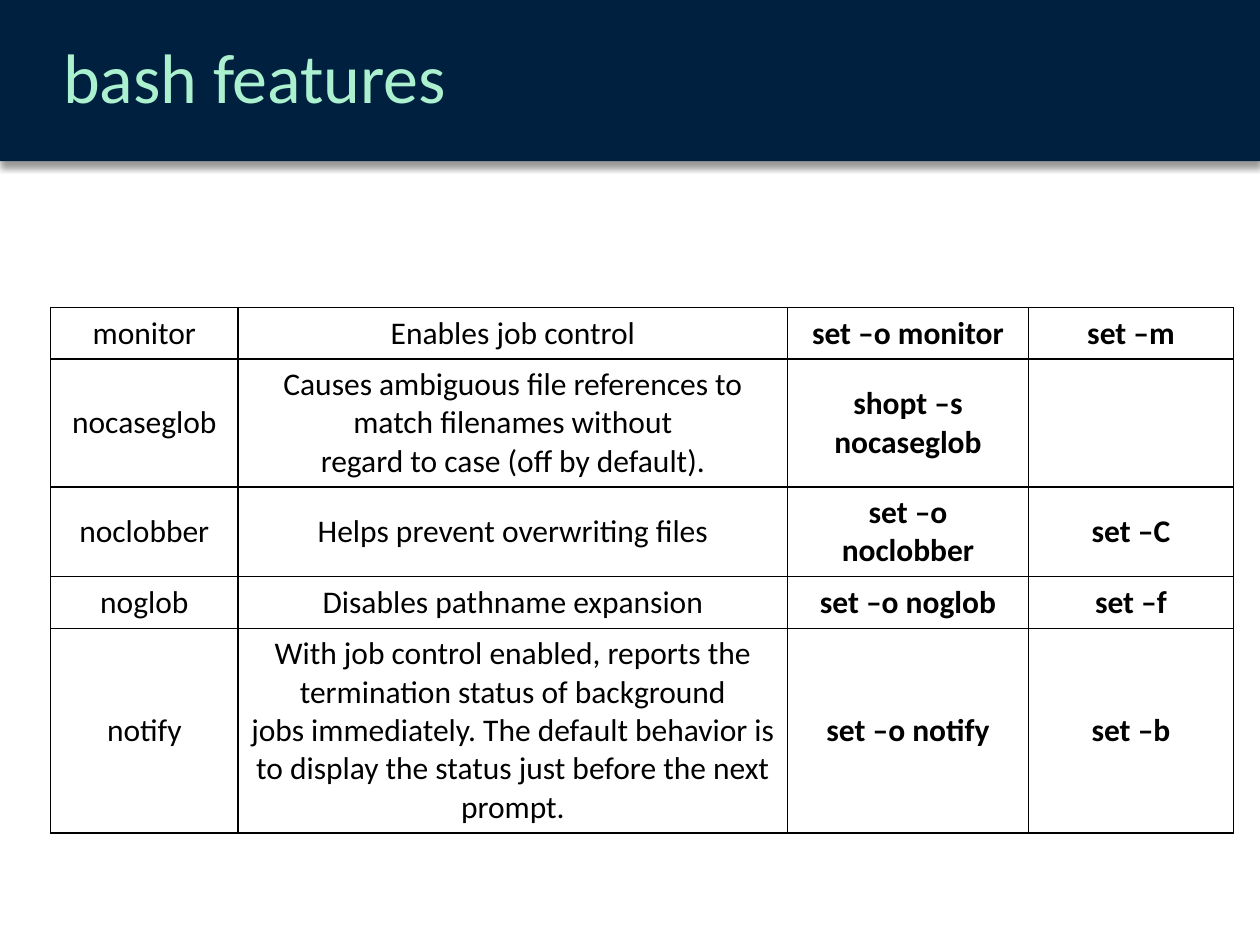
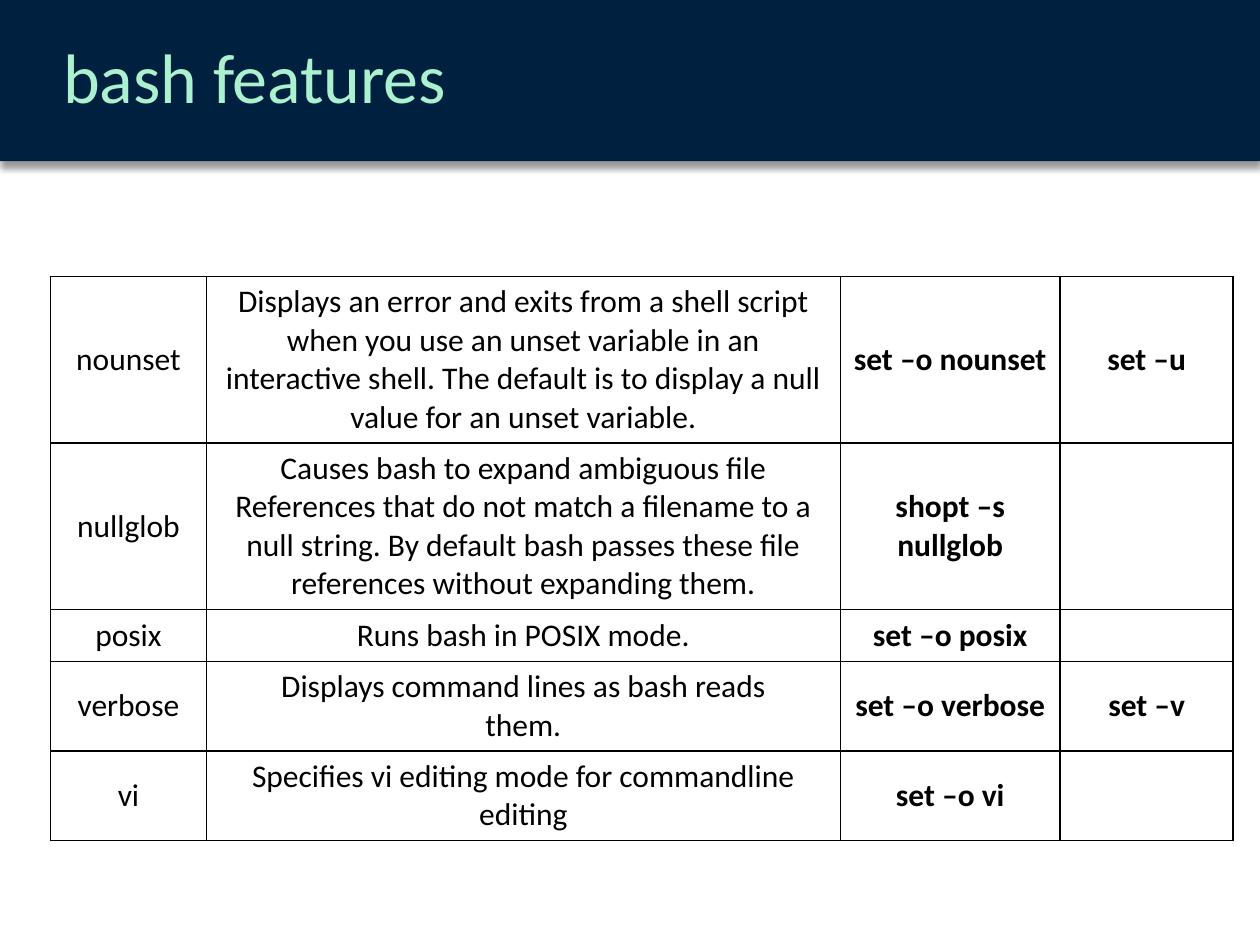
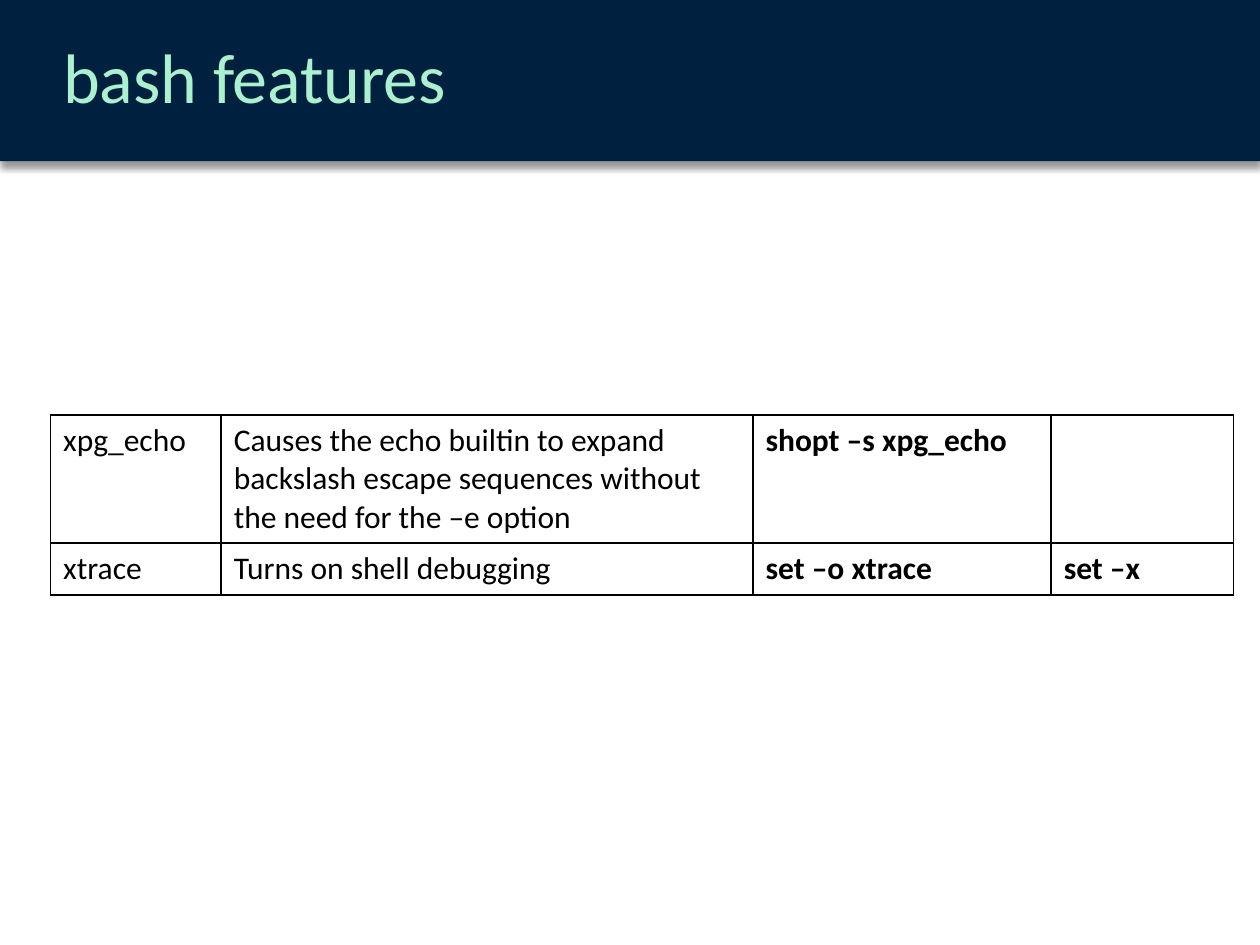
"""Build three slides listing bash features and the commands that set them."""
from dataclasses import dataclass

from lxml.etree import SubElement
from pptx import Presentation
from pptx.dml.color import RGBColor
from pptx.enum.shapes import MSO_SHAPE
from pptx.enum.text import MSO_ANCHOR, MSO_AUTO_SIZE, PP_ALIGN
from pptx.oxml import parse_xml
from pptx.oxml.ns import nsdecls, qn
from pptx.slide import Slide, SlideLayout
from pptx.table import _Cell
from pptx.util import Cm, Pt

COLORS = {"band": "00203F", "title": "ABF1CF", "text": "000000",
          "line": "000000", "cell": "FFFFFF", "shadow": "000000"}
FONT = "Calibri"
SLIDE_W, SLIDE_H = Cm(25.4), Cm(19.05)
BAND_H = Cm(3.25)
LEFT = Cm(1.02)
COMMAND_COLUMN = 2


@dataclass
class FeatureTable:
    """Rows of features with the size and alignment of their table."""
    top: float
    widths: list[float]
    heights: list[float]
    rows: list[tuple[str, str, str, str]]
    align: PP_ALIGN = PP_ALIGN.CENTER
    anchor: MSO_ANCHOR = MSO_ANCHOR.MIDDLE


TABLES = [
    FeatureTable(6.2, [3.78, 11.08, 4.85, 4.14], [1.04, 2.58, 1.8, 1.04, 4.12], [
        ("monitor", "Enables job control", "set –o monitor", "set –m"),
        ("nocaseglob",
         "Causes ambiguous file references to match filenames without\n"
         "regard to case (off by default).",
         "shopt –s nocaseglob", ""),
        ("noclobber", "Helps prevent overwriting files", "set –o noclobber", "set –C"),
        ("noglob", "Disables pathname expansion", "set –o noglob", "set –f"),
        ("notify",
         "With job control enabled, reports the termination status of background\n"
         "jobs immediately. The default behavior is to display the status "
         "just before the next prompt.",
         "set –o notify", "set –b"),
    ]),
    FeatureTable(5.57, [3.14, 12.78, 4.43, 3.49], [3.36, 3.36, 1.04, 1.8, 1.8], [
        ("nounset",
         "Displays an error and exits from a shell script when you use an unset "
         "variable in an interactive shell. The default is to display a null "
         "value for an unset variable.",
         "set –o nounset", "set –u"),
        ("nullglob",
         "Causes bash to expand ambiguous file\n"
         "References that do not match a filename to a null string. By default "
         "bash passes these file references without expanding them.",
         "shopt –s nullglob", ""),
        ("posix", "Runs bash in POSIX mode.", "set –o posix", ""),
        ("verbose", "Displays command lines as bash reads\nthem.",
         "set –o verbose", "set –v"),
        ("vi", "Specifies vi editing mode for commandline\nediting", "set –o vi", ""),
    ]),
    FeatureTable(8.37, [3.44, 10.72, 6.01, 3.68], [2.58, 1.04], [
        ("xpg_echo",
         "Causes the echo builtin to expand backslash escape sequences without "
         "the need for the –e option",
         "shopt –s xpg_echo", ""),
        ("xtrace", "Turns on shell debugging", "set –o xtrace", "set –x"),
    ], PP_ALIGN.LEFT, MSO_ANCHOR.TOP),
]


def rgb(name: str) -> RGBColor:
    """Return the named palette colour."""
    return RGBColor.from_string(COLORS[name])


def add_band(s: Slide, layout: SlideLayout) -> None:
    """Draw the title band with its shadow and move it to the shared layout."""
    band = s.shapes.add_shape(MSO_SHAPE.RECTANGLE, 0, 0, SLIDE_W, BAND_H)
    band.fill.solid()
    band.fill.fore_color.rgb = rgb("band")
    band.line.fill.background()
    band.shadow.inherit = False
    effects = band.element.spPr.find(qn("a:effectLst"))
    shadow = SubElement(effects, qn("a:outerShdw"), blurRad=str(Pt(4)),
                        dist=str(Pt(3)), dir="5400000", algn="t", rotWithShape="0")
    color = SubElement(shadow, qn("a:srgbClr"), val=COLORS["shadow"])
    SubElement(color, qn("a:alpha"), val="40000")
    layout.placeholders[0].element.addprevious(band.element)


def set_title(s: Slide, text: str) -> None:
    """Place and format the slide title on the band."""
    sp = s.shapes.title
    sp.left, sp.top, sp.width, sp.height = LEFT, 0, SLIDE_W - LEFT, BAND_H
    tf = sp.text_frame
    tf.text = text
    tf.auto_size = MSO_AUTO_SIZE.NONE
    tf.vertical_anchor = MSO_ANCHOR.MIDDLE
    p = tf.paragraphs[0]
    p.alignment = PP_ALIGN.LEFT
    p.line_spacing = 0.9
    p.space_after = Pt(6)
    font = p.runs[0].font
    font.name, font.size, font.color.rgb = FONT, Pt(40), rgb("title")


def style_cell(cell: _Cell, table: FeatureTable, bold: bool) -> None:
    """Give a cell its borders, fill, alignment and font."""
    tcPr = cell._tc.get_or_add_tcPr()
    for side in "LRTB":
        tcPr.append(parse_xml(
            f'<a:ln{side} {nsdecls("a")} w="{Pt(1)}"><a:solidFill>'
            f'<a:srgbClr val="{COLORS["line"]}"/></a:solidFill></a:ln{side}>'))
    cell.fill.solid()
    cell.fill.fore_color.rgb = rgb("cell")
    cell.vertical_anchor = table.anchor
    for p in cell.text_frame.paragraphs:
        p.alignment = table.align
        for r in p.runs:
            r.font.name, r.font.size, r.font.bold = FONT, Pt(18), bold
            r.font.color.rgb = rgb("text")


def add_features(s: Slide, table: FeatureTable) -> None:
    """Draw one table of features."""
    tbl = s.shapes.add_table(
        len(table.rows), len(table.widths), LEFT, Cm(table.top),
        Cm(sum(table.widths)), Cm(sum(table.heights))).table
    tbl.first_row = tbl.horz_banding = False
    for column, width in zip(tbl.columns, table.widths):
        column.width = Cm(width)
    for row, height, texts in zip(tbl.rows, table.heights, table.rows):
        row.height = Cm(height)
        for i, (cell, text) in enumerate(zip(row.cells, texts)):
            cell.text_frame.text = text
            style_cell(cell, table, bold=i >= COMMAND_COLUMN)


def main() -> None:
    """Build and save the presentation."""
    prs = Presentation()
    prs.slide_width, prs.slide_height = SLIDE_W, SLIDE_H
    layout = prs.slide_layouts.get_by_name("Title Only")
    for table in TABLES:
        s = prs.slides.add_slide(layout)
        set_title(s, "bash features")
        add_features(s, table)
    add_band(prs.slides[0], layout)
    prs.save("out.pptx")


if __name__ == "__main__":
    main()
